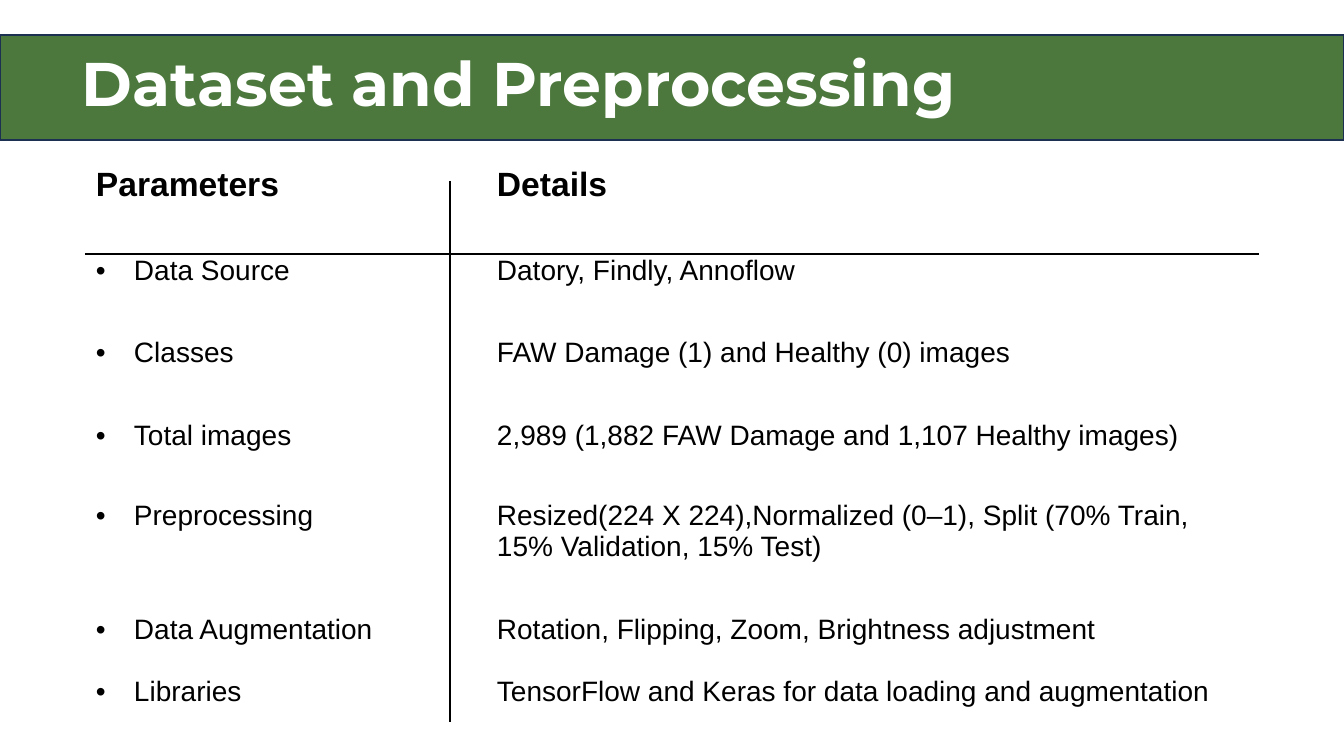
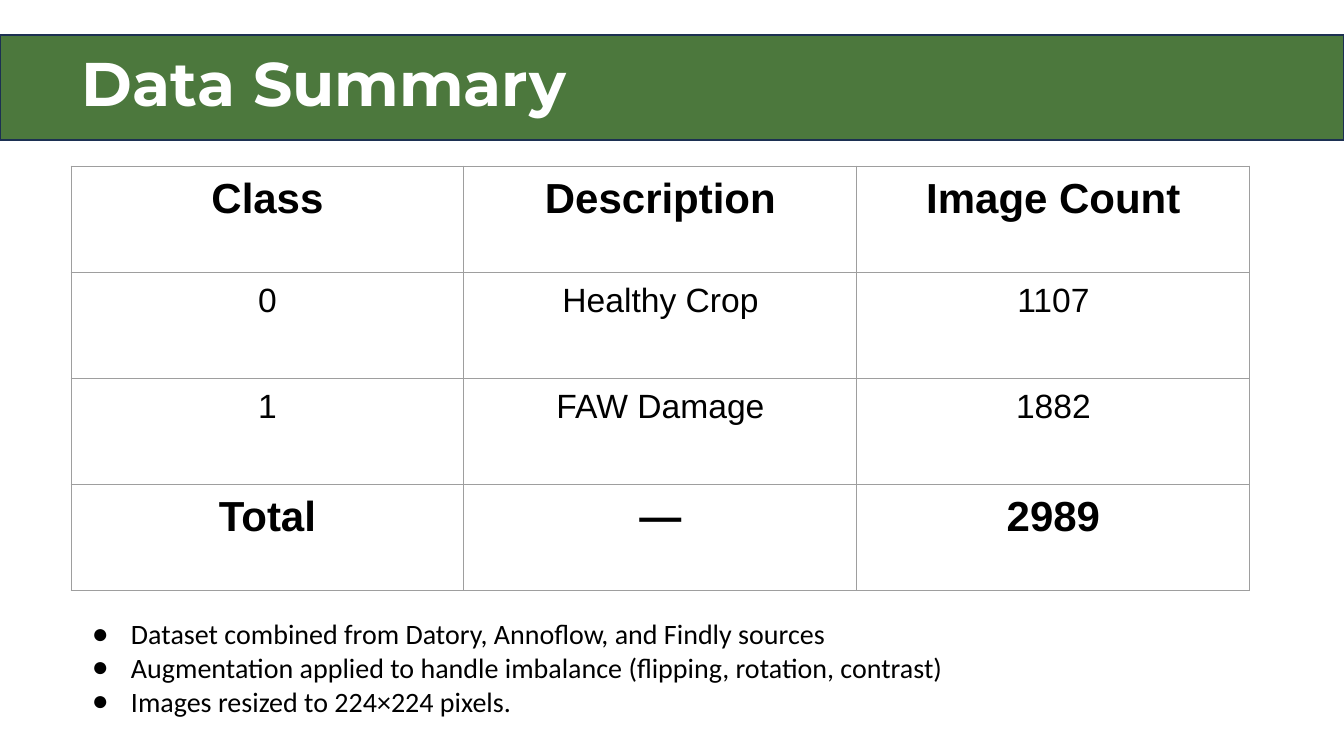
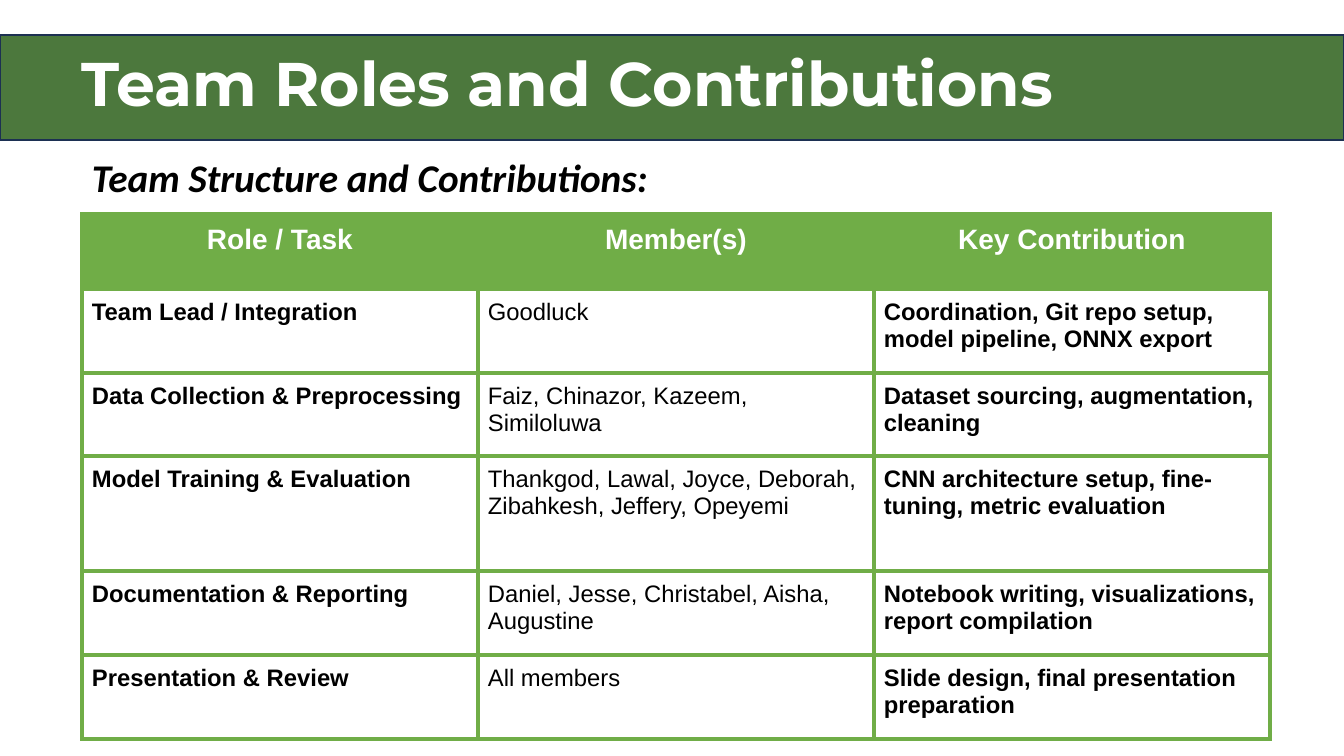
from dataclasses import dataclass

from lxml.etree import SubElement
from pptx import Presentation
from pptx.dml.color import RGBColor
from pptx.enum.shapes import MSO_CONNECTOR, MSO_SHAPE
from pptx.enum.text import MSO_ANCHOR, MSO_AUTO_SIZE, PP_ALIGN
from pptx.oxml.ns import qn
from pptx.util import Emu, Pt


@dataclass(frozen=True)
class Theme:
    band: str = "4C783D"
    band_edge: str = "1C3052"
    text: str = "000000"
    light: str = "FFFFFF"
    grid: str = "9E9E9E"
    accent: str = "70AD47"
    title_font: str = "Montserrat"
    table_font: str = "Arial"
    note_font: str = "Calibri"
    title: int = 44
    emphasis: int = 30
    subtitle: int = 28
    heading: int = 24
    body: int = 20
    small: int = 17
    plain_table: str = "{2D5ABB26-0587-4C30-8999-92F81FD0307C}"


THEME = Theme()


@dataclass(frozen=True)
class TextStyle:
    size: int
    font: str = THEME.table_font
    color: str = THEME.text
    bold: bool = False
    italic: bool = False
    align: PP_ALIGN = PP_ALIGN.LEFT
    bullet: str = ""
    indent: int = 0
    hanging: int = 0
    gap: int = 0
    fill: str = ""


def px(length):
    return Emu(round(length * 914400 / 100.8))


def box_emu(box):
    return [px(length) for length in box]


def set_margins(target, across, down):
    target.margin_left = target.margin_right = px(across)
    target.margin_top = target.margin_bottom = px(down)


def add_bullet(paragraph, style):
    properties = paragraph._p.get_or_add_pPr()
    properties.set("marL", str(px(style.indent)))
    properties.set("indent", str(-px(style.hanging)))
    color = SubElement(properties, qn("a:buClr"))
    SubElement(color, qn("a:srgbClr"), val=style.color)
    SubElement(properties, qn("a:buFont"), typeface=THEME.table_font)
    SubElement(properties, qn("a:buChar"), char=style.bullet)


def write(frame, lines, style):
    for index, line in enumerate(lines):
        paragraph = frame.add_paragraph() if index else frame.paragraphs[0]
        if style.bullet:
            add_bullet(paragraph, style)
        paragraph.alignment = style.align
        if index and style.gap:
            paragraph.space_before = Pt(style.gap)
        run = paragraph.add_run()
        run.text = line
        run.font.name = style.font
        run.font.size = Pt(style.size)
        run.font.bold = style.bold
        run.font.italic = style.italic
        run.font.color.rgb = RGBColor.from_string(style.color)


def add_titled_slide(deck, title):
    slide = deck.slides.add_slide(deck.slide_layouts[5])
    band = slide.shapes.add_shape(MSO_SHAPE.RECTANGLE, *box_emu((0, 35, 1344, 105)))
    band.shadow.inherit = False
    band.fill.solid()
    band.fill.fore_color.rgb = RGBColor.from_string(THEME.band)
    band.line.color.rgb = RGBColor.from_string(THEME.band_edge)
    band.line.width = Pt(1)
    heading = slide.shapes.title
    band._element.addnext(heading._element)
    heading.left, heading.top, heading.width, heading.height = box_emu((72, 14, 1159, 146))
    frame = heading.text_frame
    frame.word_wrap = True
    frame.auto_size = MSO_AUTO_SIZE.NONE
    frame.vertical_anchor = MSO_ANCHOR.MIDDLE
    set_margins(frame, 10, 5)
    write(frame, [title], TextStyle(THEME.title, THEME.title_font, THEME.light, bold=True))
    frame.paragraphs[0].line_spacing = 0.9
    return slide


def add_text(slide, box, lines, style):
    frame = slide.shapes.add_textbox(*box_emu(box)).text_frame
    frame.word_wrap = True
    frame.auto_size = MSO_AUTO_SIZE.SHAPE_TO_FIT_TEXT
    set_margins(frame, 10, 10)
    write(frame, lines, style)


def add_rule(slide, left, top, right, bottom):
    rule = slide.shapes.add_connector(
        MSO_CONNECTOR.STRAIGHT, *box_emu((left, top, right, bottom)))
    rule.line.color.rgb = RGBColor.from_string(THEME.text)
    rule.line.width = Pt(1.5)
    SubElement(rule._element.spPr, qn("a:effectLst"))


def add_borders(cell, color, width):
    properties = cell._tc.get_or_add_tcPr()
    for side in ("lnL", "lnR", "lnT", "lnB"):
        border = SubElement(properties, qn(f"a:{side}"), w=str(Pt(width)))
        fill = SubElement(border, qn("a:solidFill"))
        SubElement(fill, qn("a:srgbClr"), val=color)


def add_grid(slide, corner, widths, heights, content, style_at, border=None):
    box = (*corner, sum(widths), sum(heights))
    table = slide.shapes.add_table(len(heights), len(widths), *box_emu(box)).table
    table.first_row = table.horz_banding = False
    table._tbl.tblPr.find(qn("a:tableStyleId")).text = THEME.plain_table
    for column, width in zip(table.columns, widths):
        column.width = px(width)
    for row, height in zip(table.rows, heights):
        row.height = px(height)
    for row_index, texts in enumerate(content):
        for column_index, text in enumerate(texts):
            cell = table.cell(row_index, column_index)
            style = style_at(row_index, column_index)
            set_margins(cell, 10, 10)
            if border:
                add_borders(cell, *border)
            if style.fill:
                cell.fill.solid()
                cell.fill.fore_color.rgb = RGBColor.from_string(style.fill)
            else:
                cell.fill.background()
            write(cell.text_frame, text.split("\n"), style)


def add_dataset_slide(deck, left, top):
    slide = add_titled_slide(deck, "Dataset and Preprocessing")
    header = TextStyle(THEME.heading, bold=True)
    detail = TextStyle(THEME.body, gap=22)
    parameter = TextStyle(THEME.body, gap=22, bullet="•", indent=38, hanging=38)
    content = [
        ("Parameters", "Details"),
        ("Data Source", "Datory, Findly, Annoflow"),
        ("Classes", "FAW Damage (1) and Healthy (0) images"),
        ("Total images", "2,989 (1,882 FAW Damage and 1,107 Healthy images)"),
        ("Preprocessing", "Resized(224 X 224),Normalized (0–1), "
                          "Split (70% Train, 15% Validation, 15% Test)"),
        ("Data Augmentation\nLibraries",
         "Rotation, Flipping, Zoom, Brightness adjustment\n"
         "TensorFlow and Keras for data loading and augmentation"),
    ]

    def style_at(row, column):
        return (parameter, detail)[column] if row else header

    add_grid(slide, (left, top), (401, 772), (89, 82, 83, 80, 114, 117), content, style_at)
    add_rule(slide, left - 1, top + 98, left + 1173, top + 98)
    add_rule(slide, left + 364, top + 25, left + 364, top + 566)


def add_summary_slide(deck, left, top):
    slide = add_titled_slide(deck, "Data Summary")
    strong = TextStyle(THEME.emphasis, bold=True, align=PP_ALIGN.CENTER)
    count = TextStyle(THEME.heading, align=PP_ALIGN.CENTER)
    content = [
        ("Class", "Description", "Image Count"),
        ("0", "Healthy Crop", "1107"),
        ("1", "FAW Damage", "1882"),
        ("Total", "—", "2989"),
    ]

    def style_at(row, column):
        return strong if row in (0, len(content) - 1) else count

    add_grid(slide, (left, top), [393] * 3, [106] * 4, content, style_at, (THEME.grid, 0.75))
    notes = [
        "Dataset combined from Datory, Annoflow, and Findly sources",
        "Augmentation applied to handle imbalance (flipping, rotation, contrast)",
        "Images resized to 224×224 pixels.",
    ]
    add_text(slide, (left, top + 441, 1179, 122), notes,
             TextStyle(THEME.body, THEME.note_font, bullet="●", indent=50, hanging=39))


def add_team_slide(deck, left, top):
    slide = add_titled_slide(deck, "Team Roles and Contributions")
    add_text(slide, (left, top, 686, 68), ["Team Structure and Contributions:"],
             TextStyle(THEME.subtitle, THEME.note_font, bold=True, italic=True))
    header = TextStyle(THEME.body, color=THEME.light, bold=True,
                       align=PP_ALIGN.CENTER, fill=THEME.accent)
    strong = TextStyle(THEME.small, bold=True)
    member = TextStyle(THEME.small)
    content = [
        ("Role / Task", "Member(s)", "Key Contribution"),
        ("Team Lead / Integration", "Goodluck",
         "Coordination, Git repo setup, model pipeline, ONNX export"),
        ("Data Collection & Preprocessing", "Faiz, Chinazor, Kazeem, Similoluwa",
         "Dataset sourcing, augmentation, cleaning"),
        ("Model Training & Evaluation",
         "Thankgod, Lawal, Joyce, Deborah, Zibahkesh, Jeffery, Opeyemi",
         "CNN architecture setup, fine-tuning, metric evaluation"),
        ("Documentation & Reporting", "Daniel, Jesse, Christabel, Aisha, Augustine",
         "Notebook writing, visualizations, report compilation"),
        ("Presentation & Review", "All members",
         "Slide design, final presentation preparation"),
    ]

    def style_at(row, column):
        return (strong, member, strong)[column] if row else header

    add_grid(slide, (left, top + 71), [396] * 3, (75, 84, 83, 115, 84, 84),
             content, style_at, (THEME.accent, 3))


def main():
    deck = Presentation()
    deck.slide_width, deck.slide_height = px(1344), px(756)
    add_dataset_slide(deck, 86, 156)
    add_summary_slide(deck, 71, 166)
    add_team_slide(deck, 82, 143)
    deck.save("out.pptx")


if __name__ == "__main__":
    main()
